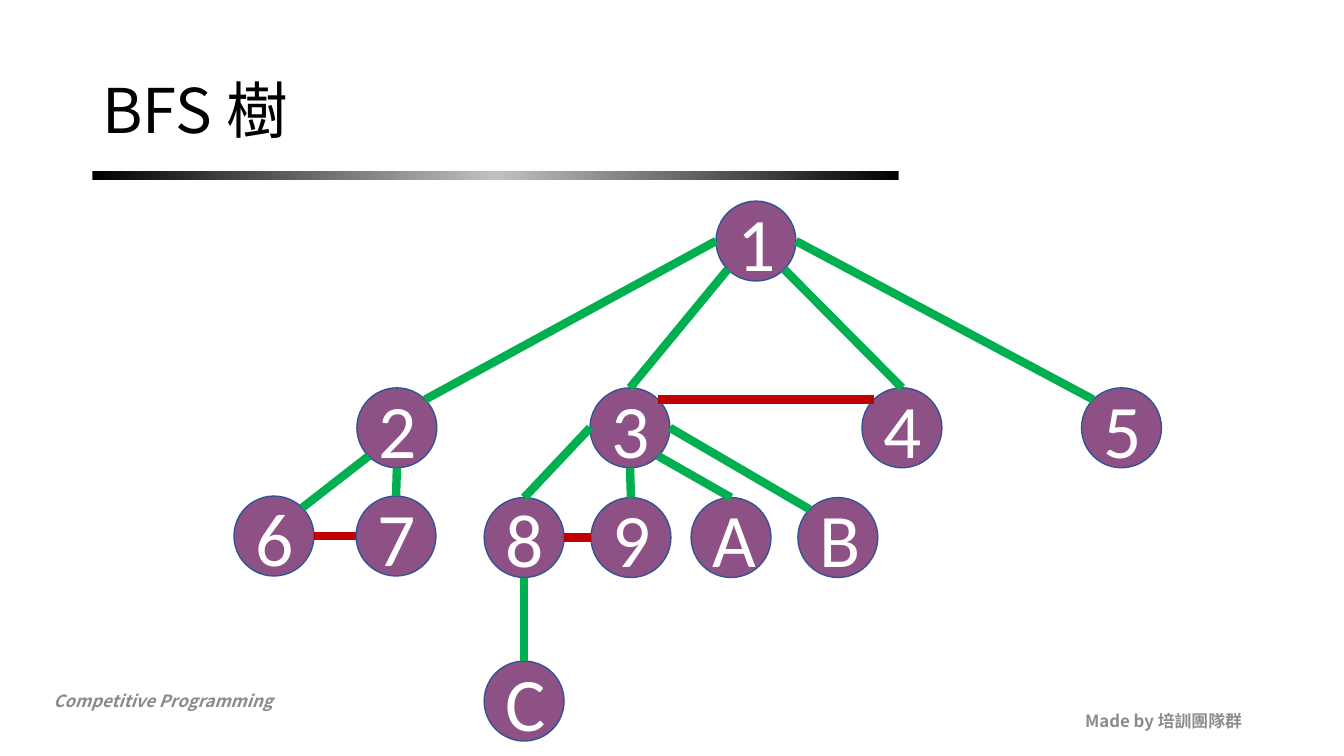
from copy import deepcopy
from dataclasses import dataclass
from math import cos, radians, sin

from lxml import etree
from pptx import Presentation
from pptx.dml.color import RGBColor
from pptx.enum.shapes import MSO_CONNECTOR, MSO_SHAPE
from pptx.enum.text import MSO_ANCHOR, MSO_AUTO_SIZE, PP_ALIGN
from pptx.oxml.ns import qn
from pptx.util import Pt

STRAIGHT = MSO_CONNECTOR.STRAIGHT
OVAL, RECTANGLE = MSO_SHAPE.OVAL, MSO_SHAPE.RECTANGLE
TOP, MIDDLE = MSO_ANCHOR.TOP, MSO_ANCHOR.MIDDLE
LEFT, CENTER, RIGHT = PP_ALIGN.LEFT, PP_ALIGN.CENTER, PP_ALIGN.RIGHT
FIT_SHAPE = MSO_AUTO_SIZE.SHAPE_TO_FIT_TEXT

TITLE = "BFS 樹"
COURSE = "Competitive Programming"
CREDIT = "Made by 培訓團隊群"

# Tree levels: centre height, then the centre of each node across
LEVELS = [
    (172.2, {"1": 540}),
    (305.6, {"2": 283.5, "3": 450, "4": 644.3, "5": 801.1}),
    (382.9, {"6": 195.7, "7": 282.9}),
    (384, {"8": 374.4, "9": 450.7, "A": 522.2, "B": 598.5}),
    (500.8, {"C": 374.4}),
]

# Edges: node, side it leaves from, node, side it arrives at
TREE_EDGES = [
    ("1", "W", "2", "NE"), ("1", "SW", "3", "N"),
    ("1", "SE", "4", "N"), ("1", "E", "5", "NW"),
    ("2", "SW", "6", "NE"), ("2", "S", "7", "N"),
    ("3", "W", "8", "N"), ("3", "S", "9", "N"),
    ("3", "SE", "A", "N"), ("3", "E", "B", "NW"),
    ("8", "S", "C", "N"),
]
CROSS_EDGES = [("3", "NE", "4", "NW"), ("6", "E", "7", "W"), ("8", "E", "9", "W")]

# Compass sides in steps of 45 degrees, clockwise from the right
SIDES = ["E", "SE", "S", "SW", "W", "NW", "N", "NE"]
DIAMETER = 57.1


@dataclass(frozen=True)
class Theme:
    text_font: str = "Noto Sans CJK SC"
    node_font: str = "Calibri"
    title_size: int = 44
    node_size: int = 54
    footer_size: int = 12
    edge_width: int = 6
    ink: str = "000000"
    rule_middle: str = "C0C0C0"
    course: str = "898989"
    credit: str = "8C8C8C"
    node_fill: str = "8D5186"
    node_line: str = "325491"
    node_text: str = "FFFFFF"
    tree_edge: str = "00B050"
    cross_edge: str = "C00000"


THEME = Theme()


def rgb(color):
    return RGBColor.from_string(color)


def write(shape, text, font, size, color, align, anchor, bold=False, italic=False):
    frame = shape.text_frame
    frame.word_wrap = True
    frame.vertical_anchor = anchor
    paragraph = frame.paragraphs[0]
    paragraph.alignment = align
    run = paragraph.add_run()
    run.text = text
    run.font.name = font
    run.font.size = Pt(size)
    run.font.bold, run.font.italic = bold, italic
    run.font.color.rgb = rgb(color)
    east_asian = etree.SubElement(run.font._element, qn("a:ea"))
    east_asian.set("typeface", font)
    return paragraph


def add_text(slide, box, *args, **style):
    shape = slide.shapes.add_textbox(*map(Pt, box))
    return shape, write(shape, *args, **style)


def add_rule(slide):
    """Draw the bar under the title, dark at both ends."""
    rule = slide.shapes.add_shape(RECTANGLE, Pt(66), Pt(122.2), Pt(576), Pt(6.4))
    rule.shadow.inherit = False
    rule.line.fill.background()
    rule.fill.gradient()
    rule.fill.gradient_angle = 0
    stop_list = rule._element.spPr.find(".//" + qn("a:gsLst"))
    stop_list.insert(1, deepcopy(stop_list[0]))
    stops = [(0, THEME.ink), (0.5, THEME.rule_middle), (1, THEME.ink)]
    for stop, (position, color) in zip(rule.fill.gradient_stops, stops):
        stop.position = position
        stop.color.rgb = rgb(color)


def add_node(slide, label, x, y):
    corner = Pt(x - DIAMETER / 2), Pt(y - DIAMETER / 2)
    node = slide.shapes.add_shape(OVAL, *corner, Pt(DIAMETER), Pt(DIAMETER))
    node.shadow.inherit = False
    node.fill.solid()
    node.fill.fore_color.rgb = rgb(THEME.node_fill)
    node.line.color.rgb = rgb(THEME.node_line)
    node.line.width = Pt(1)
    write(node, label, THEME.node_font, THEME.node_size, THEME.node_text,
          CENTER, MIDDLE)


def rim_point(center, side):
    angle = radians(45 * SIDES.index(side))
    x, y = center
    return Pt(x + DIAMETER / 2 * cos(angle)), Pt(y + DIAMETER / 2 * sin(angle))


def add_edge(slide, start, end, color):
    edge = slide.shapes.add_connector(STRAIGHT, *start, *end)
    edge.line.color.rgb = rgb(color)
    edge.line.width = Pt(THEME.edge_width)
    etree.SubElement(edge._element.spPr, qn("a:effectLst"))


def main():
    deck = Presentation()
    deck.slide_width, deck.slide_height = Pt(960), Pt(540)
    slide = deck.slides.add_slide(deck.slide_layouts[6])

    course_box, _ = add_text(slide, (31, 489.6, 306, 21.6), COURSE, THEME.text_font,
                             THEME.footer_size, THEME.course, LEFT, TOP,
                             bold=True, italic=True)
    course_box.text_frame.auto_size = FIT_SHAPE
    add_text(slide, (678.2, 500.4, 216, 28.8), CREDIT, THEME.text_font,
             THEME.footer_size, THEME.credit, RIGHT, MIDDLE, bold=True)
    add_rule(slide)
    _, title = add_text(slide, (66, 28.8, 828, 104.4), TITLE, THEME.text_font,
                        THEME.title_size, THEME.ink, LEFT, MIDDLE)
    title.line_spacing = 0.9

    centers = {label: (x, y) for y, level in LEVELS for label, x in level.items()}
    for label, center in centers.items():
        add_node(slide, label, *center)
    for edges, color in ((TREE_EDGES, THEME.tree_edge),
                         (CROSS_EDGES, THEME.cross_edge)):
        for source, leaving, target, arriving in edges:
            add_edge(slide, rim_point(centers[source], leaving),
                     rim_point(centers[target], arriving), color)

    deck.save("out.pptx")


if __name__ == "__main__":
    main()
